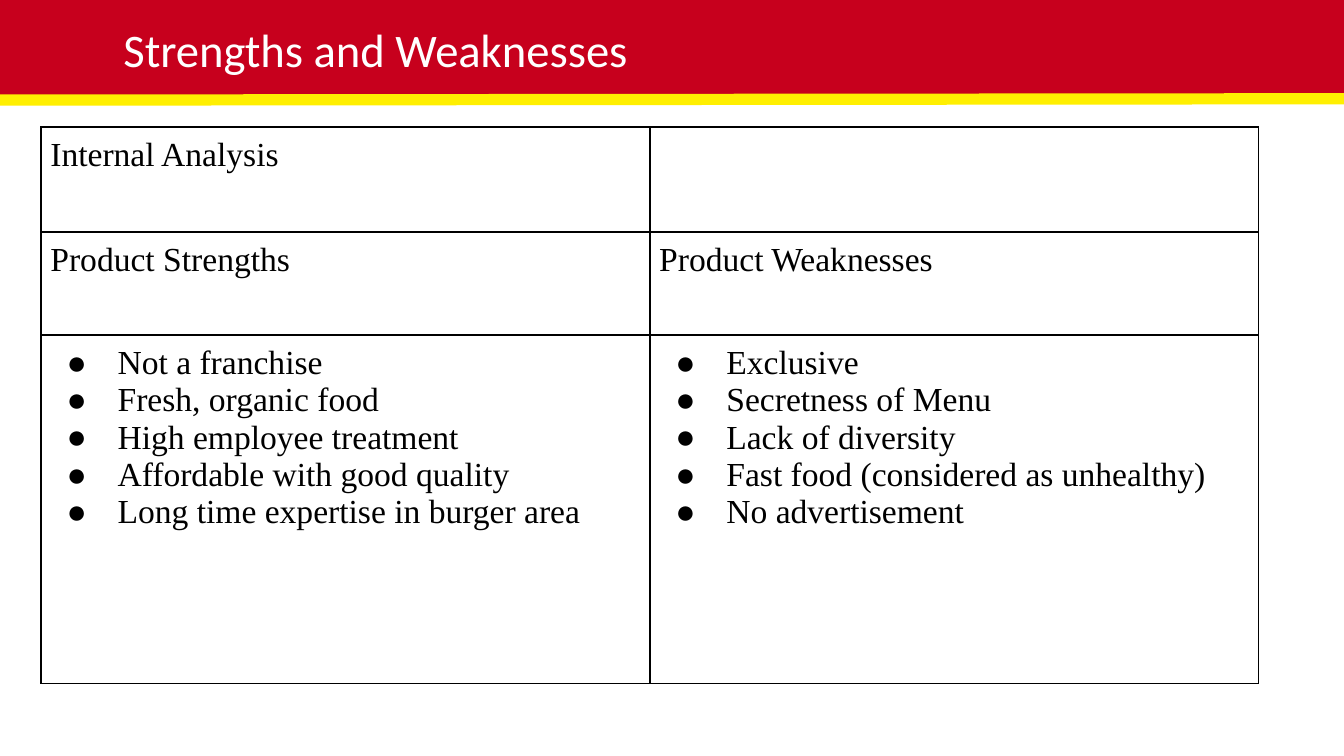
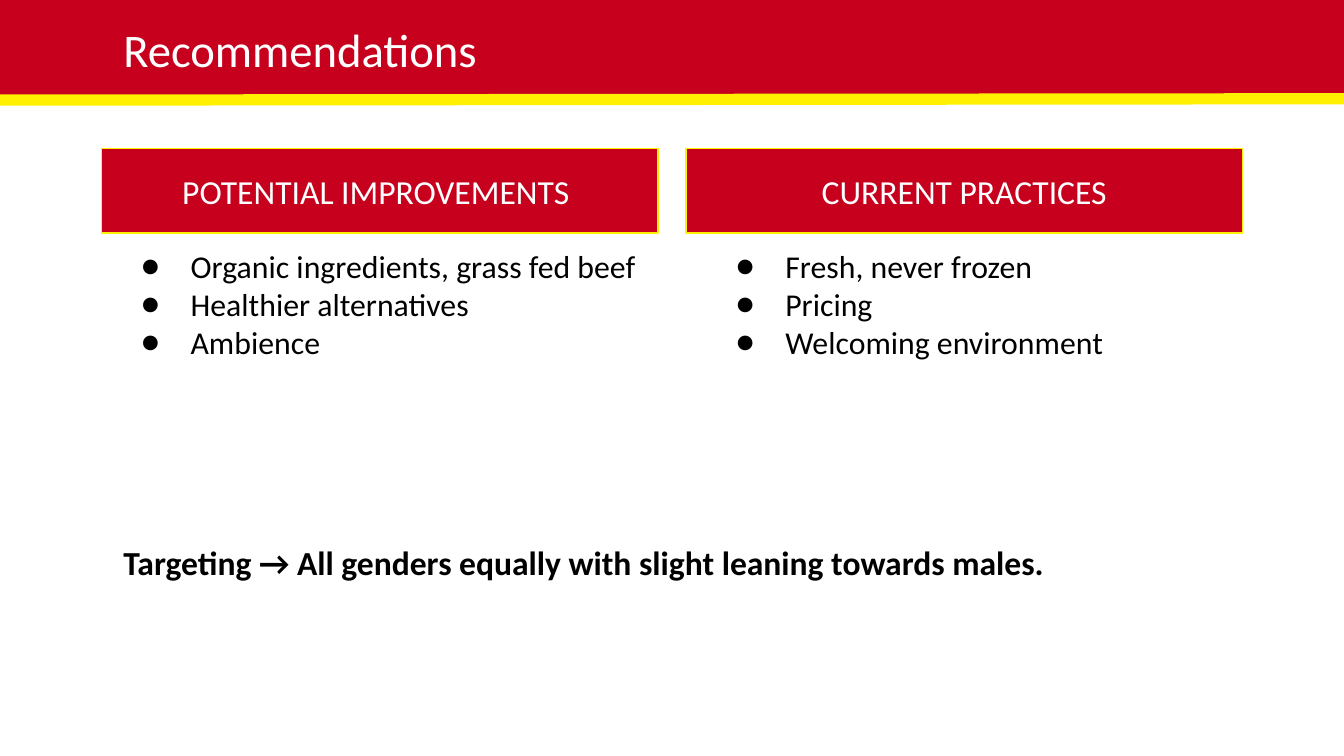
from dataclasses import dataclass

from lxml import etree
from pptx import Presentation
from pptx.dml.color import RGBColor
from pptx.enum.shapes import MSO_CONNECTOR, MSO_SHAPE
from pptx.enum.text import MSO_ANCHOR, PP_ALIGN
from pptx.oxml.ns import qn
from pptx.presentation import Presentation as Deck
from pptx.shapes.autoshape import Shape
from pptx.slide import Slide
from pptx.table import _Cell as Cell
from pptx.text.text import TextFrame
from pptx.util import Inches, Length, Pt

RED = RGBColor(0xC7, 0x00, 0x1D)
YELLOW = RGBColor(0xFF, 0xEF, 0x01)
WHITE = RGBColor(0xFF, 0xFF, 0xFF)
BLACK = RGBColor(0x00, 0x00, 0x00)

RECTANGLE = MSO_SHAPE.RECTANGLE
STRAIGHT = MSO_CONNECTOR.STRAIGHT
LEFT, CENTER = PP_ALIGN.LEFT, PP_ALIGN.CENTER
TOP, MIDDLE = MSO_ANCHOR.TOP, MSO_ANCHOR.MIDDLE

SLIDE_WIDTH = Inches(10)
SLIDE_HEIGHT = Length(SLIDE_WIDTH * 9 // 16)
COLUMNS = 100
ROWS = COLUMNS * 9 / 16
BLANK_LAYOUT = 6
TEXT_INSET, CELL_INSET = Inches(0.1), Inches(0.07)
BULLET_INDENT = Inches(0.5)


@dataclass(frozen=True)
class Box:
    """An area in grid columns and rows."""

    column: float
    row: float
    columns: float
    rows: float

    def lengths(self) -> tuple[Length, Length, Length, Length]:
        return (across(self.column), down(self.row),
                across(self.columns), down(self.rows))


@dataclass(frozen=True)
class TextStyle:
    size: float
    color: RGBColor = BLACK
    font: str = "Calibri"
    bold: bool = False
    align: PP_ALIGN = LEFT
    anchor: MSO_ANCHOR = TOP
    hanging: float = 0  # inches from bullet to text; 0 means no bullet


@dataclass(frozen=True)
class Panel:
    heading: str
    heading_box: Box
    points: tuple[str, ...]
    points_box: Box


TITLE_STYLE = TextStyle(25, WHITE)
HEADING_STYLE = TextStyle(18, WHITE, align=CENTER, anchor=MIDDLE)
POINTS_STYLE = TextStyle(17, hanging=0.37)
TARGETING_STYLE = TextStyle(18, bold=True)
CELL_STYLE = TextStyle(18, font="Times New Roman")
CELL_POINTS_STYLE = TextStyle(18, font="Times New Roman", hanging=0.38)

TITLE_BOX = Box(8.2, 0.55, 75.6, 6.3)
BAND_BOX = Box(-0.1, 0, 100.1, 7.4)
TABLE_BOX = Box(3.05, 9.45, 90.6, 41.4)
TABLE_ROWS = (7.8, 7.7, 25.9)
TARGETING_BOX = Box(8.2, 39.35, 85.3, 6.3)

ANALYSIS = (
    (("Internal Analysis",), ()),
    (("Product Strengths",), ("Product Weaknesses",)),
    (("Not a franchise", "Fresh, organic food", "High employee treatment",
      "Affordable with good quality", "Long time expertise in burger area"),
     ("Exclusive", "Secretness of Menu", "Lack of diversity",
      "Fast food (considered as unhealthy)", "No advertisement")),
)

PANELS = (
    Panel("CURRENT PRACTICES", Box(51.05, 11.05, 41.4, 6.3),
          ("Fresh, never frozen", "Pricing", "Welcoming environment"),
          Box(52.45, 17.35, 39.8, 13.3)),
    Panel("POTENTIAL IMPROVEMENTS ", Box(7.55, 11.05, 41.4, 6.3),
          ("Organic ingredients, grass fed beef", "Healthier alternatives",
           "Ambience"),
          Box(8.2, 17.35, 40.8, 25.4)),
)


def across(columns: float) -> Length:
    return Length(round(SLIDE_WIDTH * columns / COLUMNS))


def down(rows: float) -> Length:
    return Length(round(SLIDE_HEIGHT * rows / ROWS))


def write(frame: TextFrame, lines: tuple[str, ...], style: TextStyle) -> None:
    frame.text = "\n".join(lines)
    for paragraph in frame.paragraphs:
        paragraph.alignment = style.align
        if style.hanging:
            add_bullet(paragraph._p.get_or_add_pPr(), style)
        for run in paragraph.runs:
            font = run.font
            font.name, font.size, font.bold = style.font, Pt(style.size), style.bold
            font.color.rgb = style.color


def add_bullet(properties: etree._Element, style: TextStyle) -> None:
    properties.set("marL", str(BULLET_INDENT))
    properties.set("indent", str(-Inches(style.hanging)))
    color = etree.SubElement(properties, qn("a:buClr"))
    etree.SubElement(color, qn("a:srgbClr"), val=str(style.color))
    etree.SubElement(properties, qn("a:buFont"), typeface=style.font)
    etree.SubElement(properties, qn("a:buChar"), char="●")


def fill_frame(shape: Shape, lines: tuple[str, ...], style: TextStyle) -> None:
    frame = shape.text_frame
    frame.word_wrap = True
    frame.vertical_anchor = style.anchor
    frame.margin_left = frame.margin_right = TEXT_INSET
    frame.margin_top = frame.margin_bottom = TEXT_INSET
    write(frame, lines, style)


def add_text(slide: Slide, box: Box, lines: tuple[str, ...], style: TextStyle) -> None:
    fill_frame(slide.shapes.add_textbox(*box.lengths()), lines, style)


def add_red_rectangle(slide: Slide, box: Box) -> Shape:
    shape = slide.shapes.add_shape(RECTANGLE, *box.lengths())
    shape.shadow.inherit = False
    shape.fill.solid()
    shape.fill.fore_color.rgb = RED
    shape.line.fill.background()
    return shape


def add_titled_slide(presentation: Deck, title: str) -> Slide:
    slide = presentation.slides.add_slide(presentation.slide_layouts[BLANK_LAYOUT])
    add_red_rectangle(slide, BAND_BOX)
    stripe = slide.shapes.add_connector(
        STRAIGHT, across(-0.1), down(7.45), across(100.3), down(7.35))
    stripe.line.color.rgb = YELLOW
    stripe.line.width = Pt(6)
    etree.SubElement(stripe._element.spPr, qn("a:effectLst"))
    add_text(slide, TITLE_BOX, (title,), TITLE_STYLE)
    return slide


def add_borders(cell: Cell) -> None:
    properties = cell._tc.get_or_add_tcPr()
    for side in ("a:lnL", "a:lnR", "a:lnT", "a:lnB"):
        border = etree.SubElement(properties, qn(side), w=str(Pt(1)))
        fill = etree.SubElement(border, qn("a:solidFill"))
        etree.SubElement(fill, qn("a:srgbClr"), val=str(BLACK))


def add_analysis_table(slide: Slide) -> None:
    table = slide.shapes.add_table(
        len(ANALYSIS), len(ANALYSIS[0]), *TABLE_BOX.lengths()).table
    table.first_row = table.horz_banding = False
    for row, height, contents in zip(table.rows, TABLE_ROWS, ANALYSIS):
        row.height = down(height)
        for cell, lines in zip(row.cells, contents):
            cell.margin_left = cell.margin_right = CELL_INSET
            cell.margin_top = cell.margin_bottom = CELL_INSET
            add_borders(cell)
            cell.fill.background()
            style = CELL_POINTS_STYLE if len(lines) > 1 else CELL_STYLE
            write(cell.text_frame, lines, style)


def add_panel_heading(slide: Slide, panel: Panel) -> None:
    heading = add_red_rectangle(slide, panel.heading_box)
    heading.line.color.rgb = YELLOW
    heading.line.width = Pt(0.75)
    fill_frame(heading, (panel.heading,), HEADING_STYLE)


def main() -> None:
    presentation = Presentation()
    presentation.slide_width, presentation.slide_height = SLIDE_WIDTH, SLIDE_HEIGHT

    add_analysis_table(add_titled_slide(presentation, "Strengths and Weaknesses"))

    recommendations = add_titled_slide(presentation, "Recommendations")
    for panel in PANELS:
        add_panel_heading(recommendations, panel)
    for panel in reversed(PANELS):
        add_text(recommendations, panel.points_box, panel.points, POINTS_STYLE)
    add_text(recommendations, TARGETING_BOX,
             ("Targeting → All genders equally with slight leaning towards males.",),
             TARGETING_STYLE)

    presentation.save("out.pptx")


if __name__ == "__main__":
    main()
